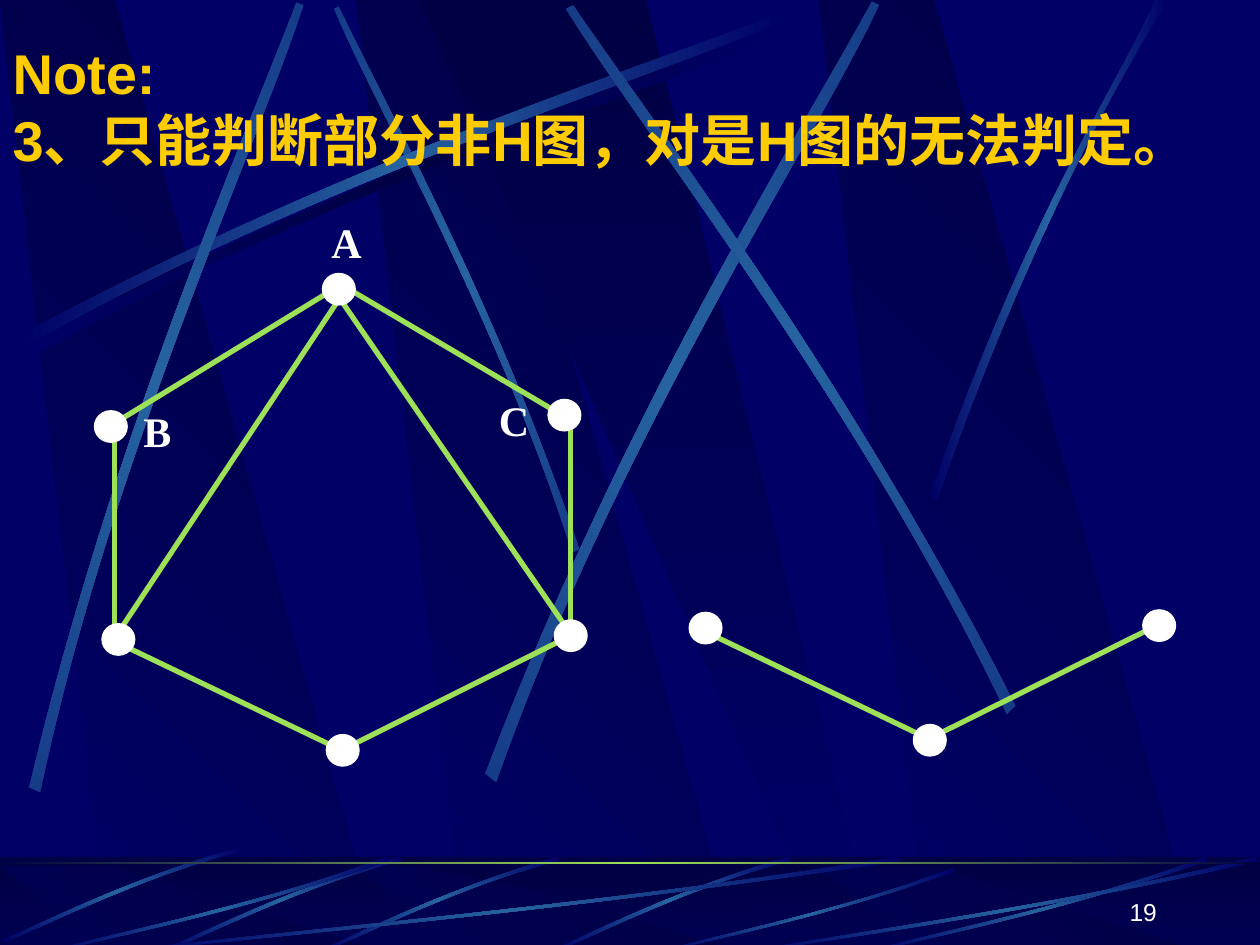
from dataclasses import dataclass
from lxml import etree
from pptx import Presentation
from pptx.dml.color import RGBColor
from pptx.enum.shapes import MSO_CONNECTOR, MSO_SHAPE
from pptx.enum.text import MSO_ANCHOR, MSO_AUTO_SIZE, PP_ALIGN
from pptx.oxml.ns import qn
from pptx.util import Cm, Pt

LINE, OVAL, RECT = MSO_CONNECTOR.STRAIGHT, MSO_SHAPE.OVAL, MSO_SHAPE.RECTANGLE
LEFT, MID, RIGHT = PP_ALIGN.LEFT, PP_ALIGN.CENTER, PP_ALIGN.RIGHT
TOP, CENTER, BASE = MSO_ANCHOR.TOP, MSO_ANCHOR.MIDDLE, MSO_ANCHOR.BOTTOM
NAVY = RGBColor(0x00, 0x00, 0x66)
DARK = RGBColor(0x00, 0x00, 0x44)
STEEL = RGBColor(0x26, 0x63, 0xA0)
SLATE = RGBColor(0x16, 0x3C, 0x88)
LIME = RGBColor(0x9C, 0xE1, 0x57)
GOLD = RGBColor(0xFF, 0xCC, 0x00)
WHITE = RGBColor(0xFF, 0xFF, 0xFF)
GLOW = (NAVY, STEEL, NAVY)
SOFT = (SLATE, STEEL, SLATE)
Point = tuple[float, float]


@dataclass
class Band:
    """A curved strip: one edge out, the other edge back (inches)."""
    out: list[Point]
    back: list[Point]
    turn: float = 0
    tones: tuple = GLOW


@dataclass
class Graph:
    edges: list[tuple[Point, Point]]
    nodes: list[Point]
    tags: dict[str, Point]


RAYS = [
    Band([(0.2, 2.75), (2.84, 1.34), (5.24, 0.59), (6.26, 0.18)],
         [(6.29, 0.24), (5.28, 0.69), (2.54, 1.51), (0.23, 2.85)], 0, (NAVY, DARK, NAVY)),
    Band([(4.6, 4.36), (3.91, 2.34), (3.02, 0.77), (2.69, 0.05)],
         [(2.65, 0.07), (2.95, 0.79), (3.98, 2.58), (4.54, 4.39)], 45, SOFT),
    Band([(0.14, 2.67), (2.78, 1.25), (5.18, 0.51), (6.2, 0.1)],
         [(6.23, 0.16), (5.22, 0.61), (2.48, 1.43), (0.17, 2.77)]),
    Band([(0.23, 6.25), (0.93, 3.34), (1.97, 1.05), (2.35, 0.02)],
         [(2.41, 0.04), (2.07, 1.09), (0.86, 3.68), (0.32, 6.29)], 311.7, SOFT),
    Band([(3.85, 6.14), (4.98, 3.2), (6.38, 1.02), (6.92, 0.01)],
         [(6.98, 0.04), (6.49, 1.08), (4.86, 3.55), (3.94, 6.21)], 321.6, SOFT),
    Band([(8.06, 5.6), (6.7, 2.93), (5.16, 0.95), (4.55, 0.04)],
         [(4.49, 0.07), (5.07, 1.01), (6.85, 3.25), (7.99, 5.67)], 34.7, SOFT),
    Band([(7.38, 3.94), (8.14, 1.73), (8.88, 0.66), (9.17, 0)],
         [(9.27, 0), (8.36, 1.45), (7.69, 3.22), (7.44, 3.97)]),
]


def short(x: float, y: float) -> Band:
    """A short footer strip rising to the right from (x, y)."""
    out = [(0, 0), (0.31, -0.13), (0.99, -0.48), (1.86, -0.73)]
    back = [(1.88, -0.7), (1.09, -0.5), (0.32, -0.1), (0.01, 0.02)]
    return Band([(x + a, y + b) for a, b in out], [(x + a, y + b) for a, b in back], 315)


def long(x: float, wide: float, top: float = 6.8) -> Band:
    """A long footer strip of a given width."""
    tall = (7.55 - top) / 0.75
    out = [(1, 0.03), (0.57, 0.43), (0.17, 0.64), (0.01, 0.75)]
    back = [(0, 0.74), (0.17, 0.61), (0.62, 0.38), (0.99, 0)]
    fit = [[(x + a * wide, top + b * tall) for a, b in edge] for edge in (out, back)]
    return Band(*fit)


FOOT = [short(4.4, 7.53), short(2.56, 7.53), short(1.31, 7.53), short(0.02, 7.46),
        long(1, 6.17), long(0.42, 2.67), long(5.27, 2.31, 6.89), long(6.92, 2.67), long(6, 4)]

GRAPHS = [
    Graph([((0.91, 3.34), (0.91, 5.09)), ((2.64, 2.3), (0.94, 3.34)),
           ((4.5, 5.06), (2.78, 5.92)), ((2.71, 2.26), (4.47, 3.3)),
           ((0.91, 5.09), (2.64, 5.92)), ((2.67, 2.33), (4.5, 4.99)),
           ((2.74, 2.3), (0.94, 5.02)), ((4.53, 3.26), (4.53, 5))],
          [(2.59, 5.83), (4.4, 4.92), (4.35, 3.17), (2.56, 2.17), (0.75, 3.26), (0.81, 4.95)],
          {"B": (1, 3.17), "A": (2.5, 1.67), "C": (3.83, 3.08)}),
    Graph([((9.17, 4.97), (7.44, 5.83)), ((5.57, 5), (7.3, 5.83))],
          [(7.25, 5.75), (9.07, 4.84), (5.47, 4.86)], {}),
]


def inch(val: float) -> Cm:
    return Cm(val * 2.54)


def shade(shape, tones: tuple, turn: float) -> None:
    """Fill with evenly spaced gradient stops, turned clockwise."""
    shape.shadow.inherit = False
    shape.line.fill.background()
    shape.fill.gradient()
    grad = shape._element.spPr.find(qn("a:gradFill"))
    for kid in list(grad):
        grad.remove(kid)
    stops = etree.SubElement(grad, qn("a:gsLst"))
    for i, tone in enumerate(tones):
        stop = etree.SubElement(stops, qn("a:gs"), pos=str(i * 100000 // (len(tones) - 1)))
        etree.SubElement(stop, qn("a:srgbClr"), val=str(tone))
    etree.SubElement(grad, qn("a:lin"), ang=str(int(turn * 60000)), scaled="0")


def draw_form(shapes, pts: list[Point], tones: tuple, turn: float):
    ends = [(inch(x), inch(y)) for x, y in pts]
    form = shapes.build_freeform(*ends[0])
    form.add_line_segments(ends[1:], close=True)
    shape = form.convert_to_shape()
    shade(shape, tones, turn)
    return shape


def draw_band(shapes, band: Band) -> None:
    shape = draw_form(shapes, band.out + band.back, band.tones, band.turn)
    # Turn each edge's three segments into one cubic curve
    legs = list(shape._element.iter(qn("a:lnTo")))
    for trio in (legs[:3], legs[4:7]):
        bend = etree.Element(qn("a:cubicBezTo"))
        trio[0].addprevious(bend)
        for leg in trio:
            bend.append(leg[0])
            leg.getparent().remove(leg)


def draw_slabs(shapes, top: float, base: float) -> None:
    for x in (2.83, 0, 6.5):
        pts = [(x + 0.86, base), (x + 3.02, base), (x + 0.91, top), (x, top)]
        draw_form(shapes, pts, (NAVY, DARK), 315)
    draw_form(shapes, [(3.33, top), (6.58, base), (6.94, base), (5.13, top)], (DARK, NAVY), 90)


def draw_box(shapes, kind, x: float, y: float, wide: float, tall: float):
    return shapes.add_shape(kind, inch(x), inch(y), inch(wide), inch(tall))


def draw_back(slide, master) -> None:
    """Draw the backdrop and footer, then hand them to the master."""
    shapes = slide.shapes
    draw_slabs(shapes, 0, 7.52)
    for band in RAYS:
        draw_band(shapes, band)
    shade(draw_box(shapes, RECT, 0, 6.8, 10, 0.75), (DARK, NAVY), 90)
    draw_slabs(shapes, 6.88, 7.55)
    veil = draw_box(shapes, RECT, 0, 6.8, 10, 0.75)
    veil.shadow.inherit = False
    veil.line.fill.background()
    veil.fill.solid()
    veil.fill.fore_color.rgb = DARK
    tint = veil._element.spPr.find(qn("a:solidFill"))[0]
    etree.SubElement(tint, qn("a:alpha"), val="50000")
    for band in FOOT:
        draw_band(shapes, band)
    shade(draw_box(shapes, RECT, 0, 6.84, 10, 0.02), (DARK, LIME, DARK), 0)
    first = master.shapes[0]._element
    for i, part in enumerate([s for s in shapes if not s.is_placeholder]):
        part._element.nvSpPr.cNvPr.set("id", str(100 + i))
        first.addprevious(part._element)


def write(shape, text: str, side, hold, look: dict) -> None:
    frame = shape.text_frame
    frame.word_wrap = True
    frame.auto_size = MSO_AUTO_SIZE.NONE
    frame.vertical_anchor = hold
    frame.text = text
    para = frame.paragraphs[0]
    para.alignment = side
    for run in para.runs:
        for key, val in look.items():
            if key == "color":
                run.font.color.rgb = val
            else:
                setattr(run.font, key, val)


def draw_graph(shapes, graph: Graph) -> None:
    for (x1, y1), (x2, y2) in graph.edges:
        edge = shapes.add_connector(LINE, inch(x1), inch(y1), inch(x2), inch(y2))
        edge.line.color.rgb, edge.line.width = LIME, Pt(3)
        etree.SubElement(edge._element.spPr, qn("a:effectLst"))
    for x, y in graph.nodes:
        node = draw_box(shapes, OVAL, x, y, 0.26, 0.25)
        node.shadow.inherit = False
        node.fill.solid()
        node.fill.fore_color.rgb = node.line.color.rgb = WHITE
        node.line.width = Pt(0.75)
    look = dict(name="Times New Roman", size=Pt(24), bold=True, color=WHITE)
    for tag, (x, y) in graph.tags.items():
        box = shapes.add_textbox(inch(x), inch(y), inch(0.5), inch(0.5))
        write(box, tag, MID, TOP, look)


def main() -> None:
    deck = Presentation()
    deck.slide_width, deck.slide_height = inch(10), inch(7.5)
    slide = deck.slides.add_slide(deck.slide_layouts[5])
    shapes = slide.shapes
    slide.background.fill.solid()
    slide.background.fill.fore_color.rgb = NAVY
    draw_back(slide, deck.slide_master)

    # Title
    title = shapes.title
    title.left, title.top, title.width, title.height = map(inch, (0, 0.25, 9.5, 1.18))
    write(title, "Note:\v3、只能判断部分非H图，对是H图的无法判定。", LEFT, CENTER,
          dict(name="Arial", size=Pt(32), bold=True, color=GOLD))

    # Graphs and page number
    for graph in GRAPHS:
        draw_graph(shapes.add_group_shape().shapes, graph)
    page = shapes.add_textbox(inch(7.2), inch(6.9), inch(2.08), inch(0.5))
    write(page, "19", RIGHT, BASE, dict(name="Arial", size=Pt(14), color=WHITE))
    deck.save("out.pptx")


if __name__ == "__main__":
    main()
